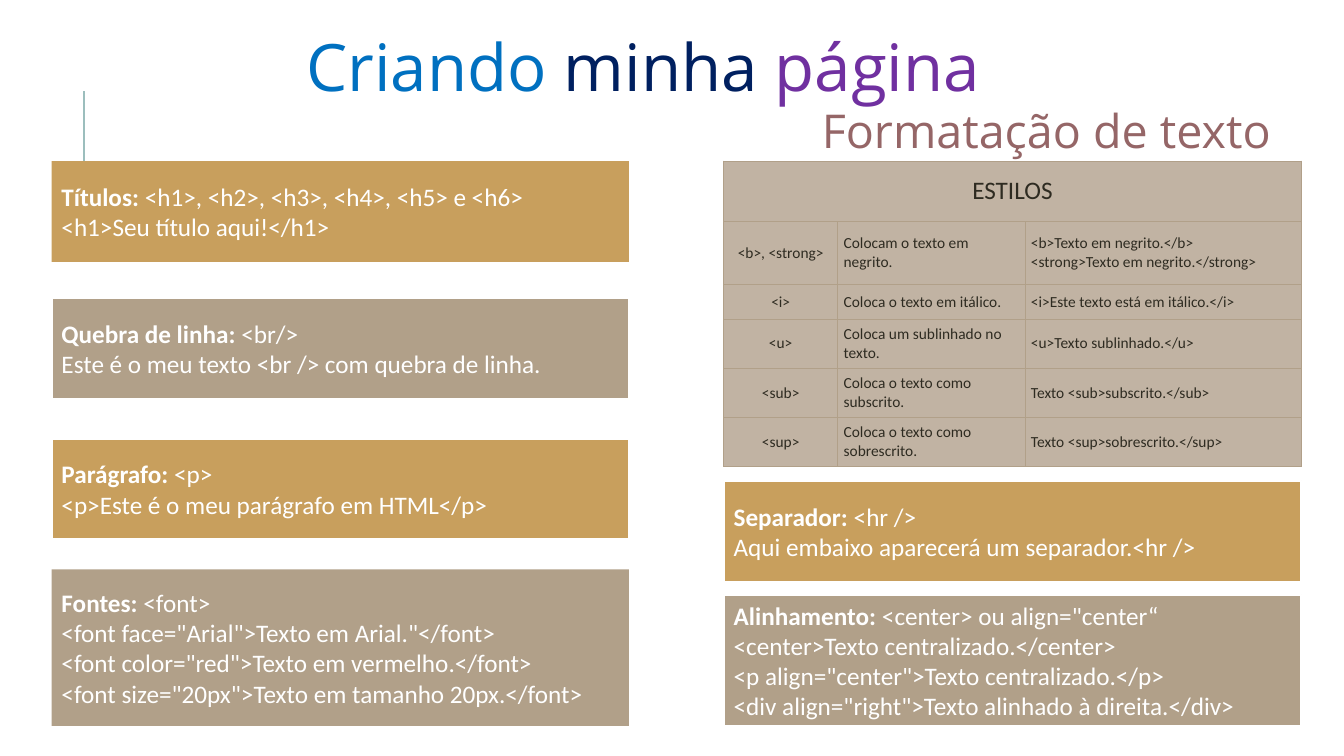
from dataclasses import dataclass
from typing import Any

import pptx
import pptx.dml.color
import pptx.enum.shapes
import pptx.enum.text
import pptx.oxml
import pptx.oxml.ns
import pptx.util
from pptx.dml.color import RGBColor
from pptx.util import Cm, Pt

WHITE = RGBColor(0xFF, 0xFF, 0xFF)
GOLD = RGBColor(0xC8, 0x9F, 0x5D)
TAUPE = RGBColor(0xB1, 0xA0, 0x89)
LIGHT_TAUPE = RGBColor(0xC1, 0xB3, 0xA3)
DARK = RGBColor(0x2E, 0x2B, 0x21)
TEAL = RGBColor(0x9C, 0xBE, 0xBD)
BLUE = RGBColor(0x00, 0x70, 0xC0)
NAVY = RGBColor(0x00, 0x20, 0x60)
PURPLE = RGBColor(0x70, 0x30, 0xA0)
ROSE = RGBColor(0x95, 0x66, 0x67)

LEFT_COLUMN = 1.3
RIGHT_COLUMN = 18.24
COLUMN_WIDTH = 14.55
LEFT = pptx.enum.text.PP_ALIGN.LEFT
CENTER = pptx.enum.text.PP_ALIGN.CENTER
MIDDLE = pptx.enum.text.MSO_ANCHOR.MIDDLE


@dataclass(frozen=True)
class TagCard:
    left: float
    top: float
    height: float
    fill: RGBColor
    outlined: bool
    label: str
    tags: str
    examples: tuple[str, ...]


@dataclass(frozen=True)
class Heading:
    left: float
    top: float
    width: float
    height: float
    size: float
    line_spacing: float
    words: tuple[tuple[str, RGBColor], ...]


@dataclass(frozen=True)
class StyleRow:
    height: float
    tag: str
    effect: str
    example: str


CARDS = (
    TagCard(LEFT_COLUMN, 4.06, 2.54, GOLD, False, "Títulos: ",
            "<h1>, <h2>, <h3>, <h4>, <h5> e <h6>", ("<h1>Seu título aqui!</h1>",)),
    TagCard(LEFT_COLUMN, 7.52, 2.54, TAUPE, True, "Quebra de linha: ", "<br/>",
            ("Este é o meu texto <br /> com quebra de linha.",)),
    TagCard(LEFT_COLUMN, 11.05, 2.54, GOLD, True, "Parágrafo: ", "<p>",
            ("<p>Este é o meu parágrafo em HTML</p>",)),
    TagCard(LEFT_COLUMN, 14.35, 3.94, TAUPE, False, "Fontes: ", "<font>",
            ('<font face="Arial">Texto em Arial."</font>',
             '<font color="red">Texto em vermelho.</font>',
             '<font size="20px">Texto em tamanho 20px.</font>')),
    TagCard(RIGHT_COLUMN, 12.12, 2.54, GOLD, True, "Separador: ", "<hr />",
            ("Aqui embaixo aparecerá um separador.<hr />",)),
    TagCard(RIGHT_COLUMN, 14.99, 3.3, TAUPE, True, "Alinhamento: ",
            '<center> ou align="center“',
            ("<center>Texto centralizado.</center>",
             '<p align="center">Texto centralizado.</p>',
             '<div align="right">Texto alinhado à direita.</div>')),
)

HEADINGS = (
    Heading(-0.48, 0.33, 33.38, 2.16, 46.7, 65.3,
            (("Criando ", BLUE), ("minha ", NAVY), ("página", PURPLE))),
    Heading(20.19, 2.34, 12.37, 1.57, 33.3, 46.7, (("Formatação de texto", ROSE),)),
)

TABLE_TITLE = "ESTILOS"
TITLE_ROW_HEIGHT = 1.52
TABLE_COLUMNS = (2.87, 4.72, 6.96)
STYLE_ROWS = (
    StyleRow(1.6, "<b>, <strong>", "Colocam o texto em negrito.",
             "<b>Texto em negrito.</b>\n<strong>Texto em negrito.</strong>"),
    StyleRow(0.86, "<i>", "Coloca o texto em itálico.", "<i>Este texto está em itálico.</i>"),
    StyleRow(1.24, "<u>", "Coloca um sublinhado no texto.", "<u>Texto sublinhado.</u>"),
    StyleRow(1.24, "<sub>", "Coloca o texto como subscrito.", "Texto <sub>subscrito.</sub>"),
    StyleRow(1.24, "<sup>", "Coloca o texto como sobrescrito.", "Texto <sup>sobrescrito.</sup>"),
)


def apply_format(target: Any, values: dict[str, Any]) -> None:
    for name, value in values.items():
        setattr(target, name, value)


def add_span(para: Any, text: str, color: RGBColor, **font_values: Any) -> None:
    span = para.add_run()
    span.text = text
    apply_format(span.font, font_values)
    span.font.color.rgb = color


def draw_card(page: Any, card: TagCard) -> None:
    box = page.shapes.add_shape(
        pptx.enum.shapes.MSO_SHAPE.RECTANGLE,
        Cm(card.left), Cm(card.top), Cm(COLUMN_WIDTH), Cm(card.height))
    box.shadow.inherit = False
    box.fill.solid()
    box.fill.fore_color.rgb = card.fill
    if card.outlined:
        box.line.color.rgb = WHITE
        box.line.width = Pt(1.5)
    else:
        box.line.fill.background()
    frame = box.text_frame
    apply_format(frame, {"word_wrap": True, "vertical_anchor": MIDDLE})
    style = {"name": "Calibri", "size": Pt(18)}
    para = frame.paragraphs[0]
    para.alignment = LEFT
    add_span(para, card.label, WHITE, bold=True, **style)
    add_span(para, card.tags, WHITE, bold=False, **style)
    for example in card.examples:
        para = frame.add_paragraph()
        para.alignment = LEFT
        add_span(para, example, WHITE, bold=False, **style)


def draw_heading(page: Any, heading: Heading) -> None:
    box = page.shapes.add_textbox(
        Cm(heading.left), Cm(heading.top), Cm(heading.width), Cm(heading.height))
    apply_format(box.text_frame, {
        "word_wrap": True, "auto_size": pptx.enum.text.MSO_AUTO_SIZE.SHAPE_TO_FIT_TEXT,
        "margin_left": 0, "margin_top": 0, "margin_right": 0, "margin_bottom": 0})
    para = box.text_frame.paragraphs[0]
    apply_format(para, {"alignment": CENTER, "line_spacing": Pt(heading.line_spacing)})
    for word, color in heading.words:
        add_span(para, word, color, name="Open Sans", size=Pt(heading.size))


def style_cell(cell: Any) -> None:
    apply_format(cell, {
        "margin_left": Cm(0.15), "margin_right": Cm(0.15),
        "margin_top": Cm(0.08), "margin_bottom": Cm(0.08), "vertical_anchor": MIDDLE})
    properties = cell._tc.get_or_add_tcPr()
    for side in ("lnL", "lnR", "lnT", "lnB"):
        properties.append(pptx.oxml.parse_xml(
            f'<a:{side} {pptx.oxml.ns.nsdecls("a")} w="{Pt(0.75)}"><a:solidFill>'
            f'<a:srgbClr val="{TAUPE}"/></a:solidFill></a:{side}>'))
    cell.fill.solid()
    cell.fill.fore_color.rgb = LIGHT_TAUPE


def write_cell(cell: Any, text: str, size: float, alignment: Any) -> None:
    for index, line in enumerate(text.split("\n")):
        para = cell.text_frame.add_paragraph() if index else cell.text_frame.paragraphs[0]
        para.alignment = alignment
        add_span(para, line, DARK, name="Calibri", size=Pt(size))


def draw_styles_table(page: Any) -> None:
    heights = [TITLE_ROW_HEIGHT] + [row.height for row in STYLE_ROWS]
    table = page.shapes.add_table(
        len(heights), len(TABLE_COLUMNS), Cm(RIGHT_COLUMN), Cm(4.06),
        Cm(COLUMN_WIDTH), Cm(sum(heights))).table
    apply_format(table, {"first_row": False, "horz_banding": False})
    for column, width in zip(table.columns, TABLE_COLUMNS):
        column.width = Cm(width)
    for row, height in zip(table.rows, heights):
        row.height = Cm(height)
    for cell in table.iter_cells():
        style_cell(cell)
    table.cell(0, 0).merge(table.cell(0, len(TABLE_COLUMNS) - 1))
    write_cell(table.cell(0, 0), TABLE_TITLE, 18, CENTER)
    for index, row in enumerate(STYLE_ROWS, start=1):
        write_cell(table.cell(index, 0), row.tag, 11, CENTER)
        write_cell(table.cell(index, 1), row.effect, 11, LEFT)
        write_cell(table.cell(index, 2), row.example, 11, LEFT)


def draw_accent_line(page: Any) -> None:
    line = page.shapes.add_connector(
        pptx.enum.shapes.MSO_CONNECTOR.STRAIGHT, Cm(2.12), Cm(4.83), Cm(2.12), Cm(2.29))
    line.line.color.rgb = TEAL
    line.line.width = Pt(1.5)
    line._element.spPr.append(pptx.oxml.parse_xml(
        f'<a:effectLst {pptx.oxml.ns.nsdecls("a")}/>'))


def main() -> None:
    deck = pptx.Presentation()
    apply_format(deck, {"slide_width": Cm(33.87), "slide_height": Cm(19.05)})
    page = deck.slides.add_slide(deck.slide_layouts[6])
    draw_accent_line(page)
    for card in CARDS:
        draw_card(page, card)
    draw_styles_table(page)
    for heading in HEADINGS:
        draw_heading(page, heading)
    deck.save("out.pptx")


if __name__ == "__main__":
    main()
